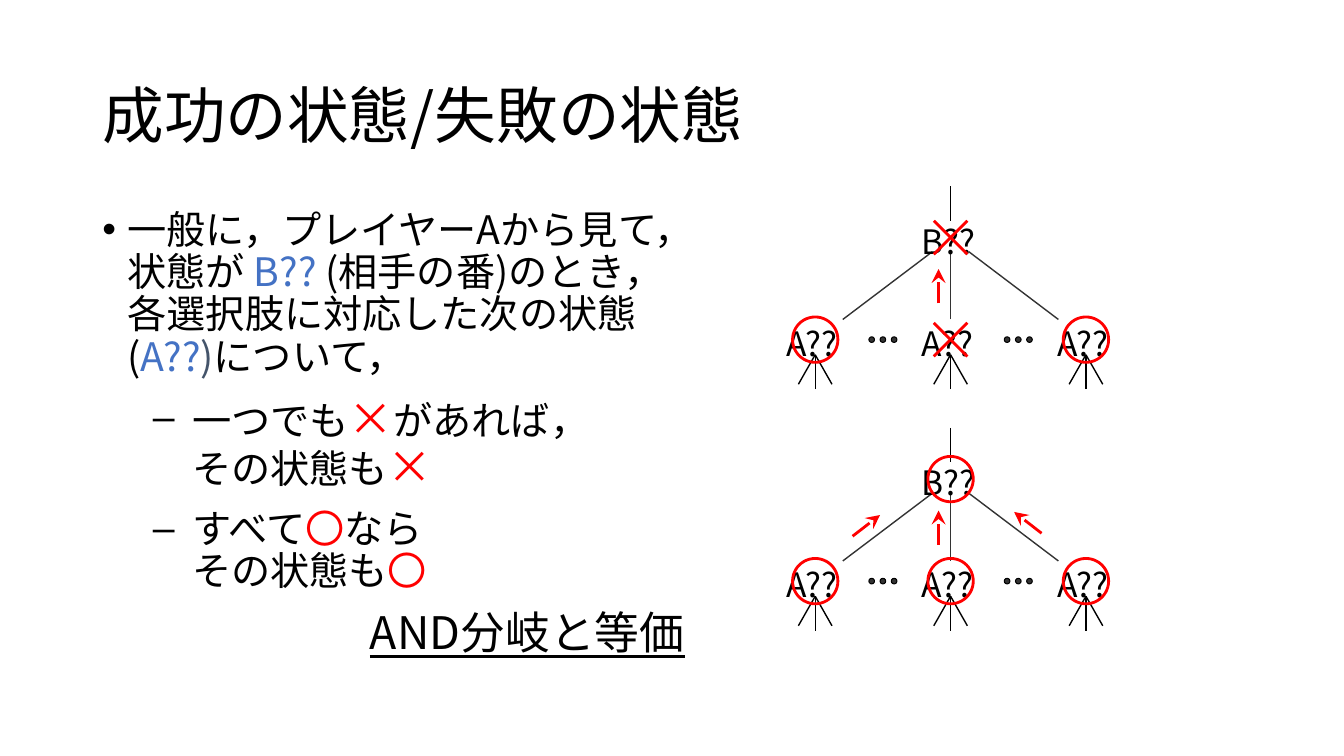
from lxml import etree
from pptx import Presentation, util as u
from pptx.dml.color import RGBColor
from pptx.enum import shapes as sh, text as tx
from pptx.oxml import ns

Pt = u.Pt

THEME = {
    "font": "Noto Sans CJK JP",
    "ink": RGBColor(0, 0, 0),
    "branch": RGBColor(0x33, 0x33, 0x33),
    "mark": RGBColor(0xFF, 0, 0),
    "state": RGBColor(0x44, 0x72, 0xC4),
    "slate": RGBColor(0x44, 0x54, 0x6A),
    "title": 44, "large": 32, "body": 28, "label": 24,
}


def add_run(paragraph, words, size, color="ink", underline=None):
    run = paragraph.add_run()
    run.text = words
    formats = {"name": THEME["font"], "size": Pt(THEME[size]),
               "bold": False, "underline": underline}
    for key, value in formats.items():
        setattr(run.font, key, value)
    run.font.color.rgb = THEME[color]
    east_asian = etree.SubElement(run.font._element, ns.qn("a:ea"))
    east_asian.set("typeface", THEME["font"])


def add_line(x1, y1, x2, y2, color="ink", width=1, arrow=False):
    line = slide.shapes.add_connector(
        sh.MSO_CONNECTOR.STRAIGHT, Pt(x1), Pt(y1), Pt(x2), Pt(y2))
    line.line.color.rgb = THEME[color]
    line.line.width = Pt(width)
    if arrow:
        head = etree.SubElement(line.line._get_or_add_ln(), ns.qn("a:tailEnd"))
        for key, value in {"type": "stealth", "w": "lg", "len": "lg"}.items():
            head.set(key, value)
    etree.SubElement(line._element.spPr, ns.qn("a:effectLst"))
    return line


deck = Presentation()
deck.slide_width, deck.slide_height = Pt(960), Pt(540)
slide = deck.slides.add_slide(deck.slide_layouts[1])
title, explanation = slide.placeholders

# Title and body frames
for frame, box, anchor in (
        (title, (66, 32, 828, 104.4), tx.MSO_ANCHOR.MIDDLE),
        (explanation, (66, 146.3, 443, 342.7), tx.MSO_ANCHOR.TOP)):
    for side, length in zip(("left", "top", "width", "height"), box):
        setattr(frame, side, Pt(length))
    for key, value in {"auto_size": tx.MSO_AUTO_SIZE.NONE, "word_wrap": True,
                       "vertical_anchor": anchor}.items():
        setattr(frame.text_frame, key, value)

heading = title.text_frame.paragraphs[0]
heading.alignment = tx.PP_ALIGN.LEFT
heading.line_spacing = Pt(47.4)
add_run(heading, "成功の状態/失敗の状態", "title")

# Body: level, bullet, left margin, indent, space before, line height, runs
rules = [
    (0, "•", 18, -18, 0, 30.2, [
        ("一般に，プレイヤーAから見て，状態が ", "body"),
        ("B?? ", "body", "state"),
        ("(相手の番)のとき，各選択肢に対応した次の状態 (", "body"),
        ("A??", "body", "state"), (")", "body", "slate"),
        ("について，", "body")]),
    (1, "‒", 64, -28, 12, 34.5, [
        ("一つでも", "body"), ("×", "large", "mark"), ("があれば，", "body")]),
    (1, None, 64, 0, 0, 34.5, [
        ("その状態も", "body"), ("×", "large", "mark")]),
    (1, "‒", 64, -28, 12, 30.2, [
        ("すべて", "body"), ("〇", "body", "mark"), ("なら", "body")]),
    (1, None, 64, 0, 0, 30.2, [
        ("その状態も", "body"), ("〇", "body", "mark")]),
    (0, None, 191, 0, 12, 34.5, [("AND分岐と等価", "large", "ink", True)]),
]
for i, (level, bullet, margin, indent, before, height, runs) in enumerate(rules):
    body = explanation.text_frame
    rule = body.add_paragraph() if i else body.paragraphs[0]
    properties = rule._p.get_or_add_pPr()
    properties.set("marL", str(Pt(margin)))
    properties.set("indent", str(Pt(indent)))
    mark = etree.SubElement(properties, ns.qn("a:buChar" if bullet else "a:buNone"))
    if bullet:
        mark.set("char", bullet)
    for key, value in {"level": level, "line_spacing": Pt(height),
                       "space_before": Pt(before)}.items():
        setattr(rule, key, value)
    for run in runs:
        add_run(rule, *run)

# Game trees: top, mark of the root, marks of the children, arrows
CENTER, PITCH = 679, 96.7
columns = [CENTER + PITCH * k for k in (-1, 0, 1)]
up_arrow = (-8.6, 83.5, -8.6, 59)
trees = [
    (133.2, "×", "○×○", [up_arrow]),
    (305.7, "○", "○○○", [up_arrow, (-70, 77.3, -50.4, 62.2),
                          (65, 75.2, 45.4, 60)]),
]
for top, root_mark, child_marks, arrows in trees:
    # Branches from the root to its children
    for end, start in ((-77, -13), (0, 0), (77, 13)):
        add_line(CENTER + end, top + 95, CENTER + start, top + 46.6, "branch")
    stub = add_line(CENTER, top, CENTER, top + 24.5)

    # Further moves below each child
    for x in columns:
        for dx, dy in ((-12, 141.3), (0, 144.7), (12, 141.3)):
            add_line(x + dx, top + dy, x, top + 120.2)

    # Dots between the children
    for middle in (CENTER - PITCH / 2, CENTER + PITCH / 2):
        for step in (-8, 0, 8):
            dot = slide.shapes.add_shape(
                sh.MSO_SHAPE.OVAL, Pt(middle + step - 2), Pt(top + 107.4),
                Pt(4), Pt(4))
            dot.shadow.inherit = False
            dot.fill.solid()
            dot.fill.fore_color.rgb = THEME["branch"]
            dot.line.color.rgb = THEME["ink"]
            dot.line.width = Pt(0)

    # States with their marks
    states = [(CENTER, 24.5, 36.5, "B??", root_mark)]
    states += [(x, 97.2, 109.4, "A??", m) for x, m in zip(columns, child_marks)]
    for x, label_top, mark_y, name, result in states:
        label = slide.shapes.add_textbox(
            Pt(x - 20.5), Pt(top + label_top), Pt(41), Pt(28.8))
        for key, value in {"margin_left": 0, "margin_right": 0, "margin_top": 0,
                           "margin_bottom": 0, "word_wrap": False,
                           "auto_size": tx.MSO_AUTO_SIZE.SHAPE_TO_FIT_TEXT}.items():
            setattr(label.text_frame, key, value)
        label.text_frame.paragraphs[0].line_spacing = Pt(28.8)
        add_run(label.text_frame.paragraphs[0], name, "label")
        if name == "B??":
            stub.end_connect(label, 0)

        y = top + mark_y
        if result == "×":
            for rise in (-12, 12):
                add_line(x - 12, y - rise, x + 12, y + rise, "mark", 2)
        else:
            circle = slide.shapes.add_shape(
                sh.MSO_SHAPE.OVAL, Pt(x - 16.2), Pt(y - 16.2), Pt(32.4), Pt(32.4))
            circle.shadow.inherit = False
            circle.fill.background()
            circle.line.color.rgb = THEME["mark"]
            circle.line.width = Pt(2)

    # Results passed up to the root
    for x1, y1, x2, y2 in arrows:
        add_line(CENTER + x1, top + y1, CENTER + x2, top + y2, "mark", 2, True)

deck.save("out.pptx")
